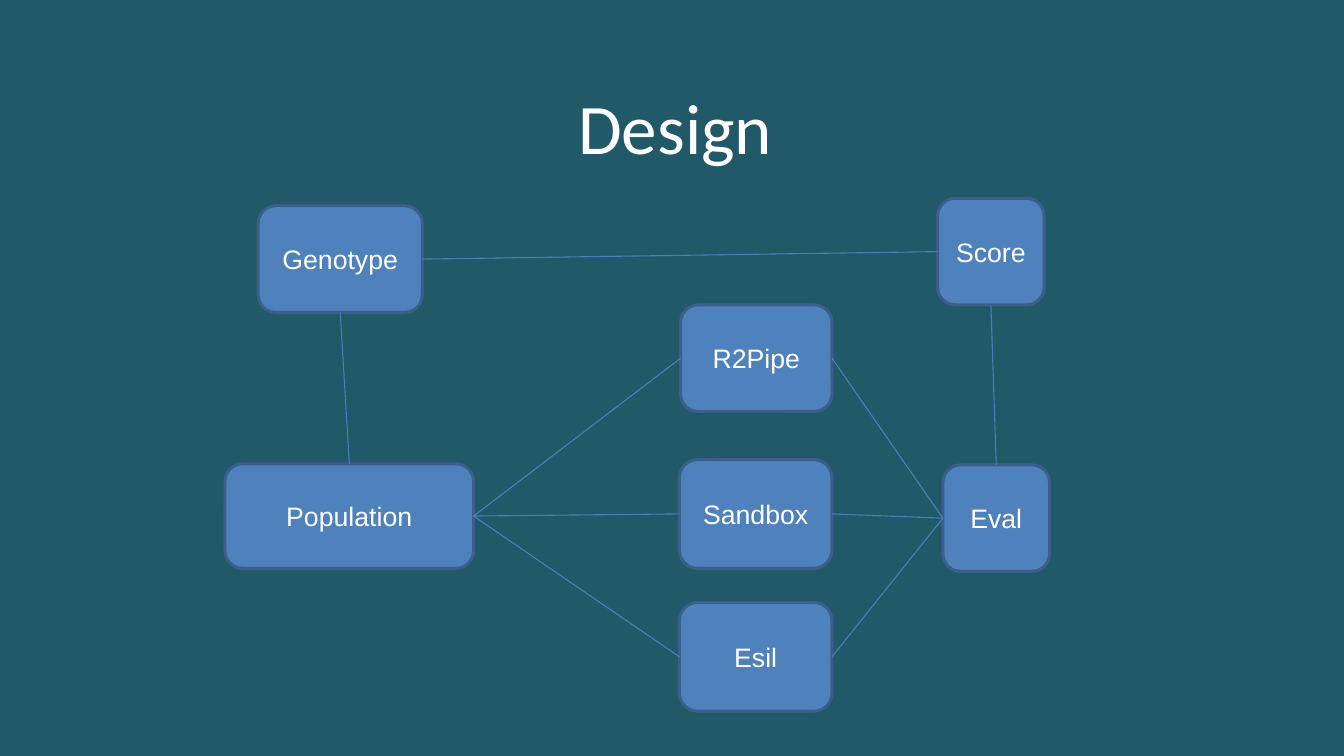
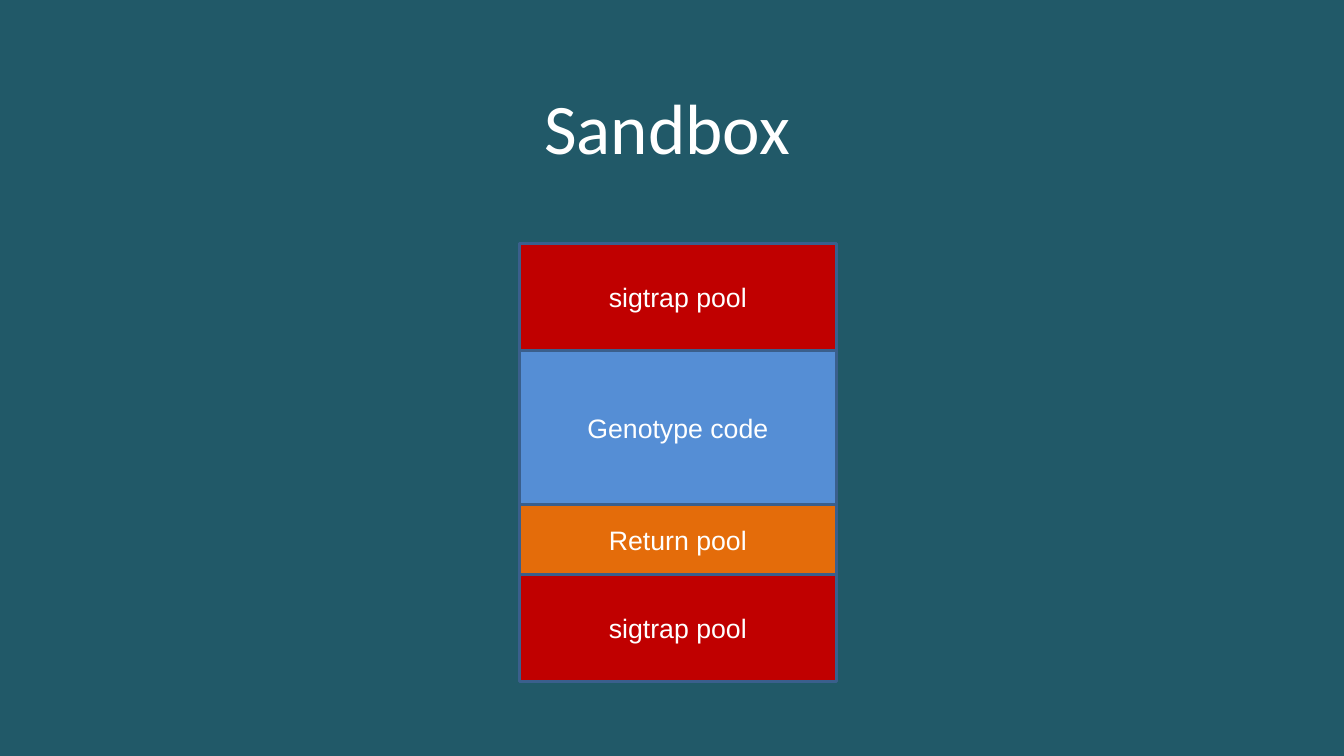
from lxml.etree import SubElement
from pptx import Presentation
from pptx.dml.color import RGBColor
from pptx.enum.shapes import MSO_CONNECTOR, MSO_SHAPE
from pptx.enum.text import MSO_ANCHOR, MSO_AUTO_SIZE, PP_ALIGN
from pptx.oxml.ns import qn
from pptx.util import Inches, Pt

COLOURS = {
    "background": "215968",
    "text": "FFFFFF",
    "node": "4F81BD",
    "outline": "3A5F8C",
    "link": "4B7EBC",
    "trap": "C00000",
    "code": "558ED5",
    "return": "E46C0A",
}
TITLE_ONLY = 5
TOP, LEFT, BOTTOM, RIGHT = range(4)  # connection sites of a rectangle

# Name: left, top, width, height within the diagram
NODES = {
    "Genotype": (0.31, 0.07, 1.54, 1),
    "Score": (6.68, 0, 1, 1),
    "Population": (0, 2.49, 2.33, 0.98),
    "R2Pipe": (4.27, 1, 1.42, 1),
    "Sandbox": (4.26, 2.45, 1.43, 1.02),
    "Esil": (4.26, 3.79, 1.43, 1.02),
    "Eval": (6.73, 2.5, 1, 1),
}
LINKS = [
    ("Genotype", BOTTOM, "Population", TOP),
    ("Genotype", RIGHT, "Score", LEFT),
    ("Score", BOTTOM, "Eval", TOP),
]
for runner in ("R2Pipe", "Sandbox", "Esil"):
    LINKS += [("Population", RIGHT, runner, LEFT), (runner, RIGHT, "Eval", LEFT)]

# Label, colour, height, from top to bottom
LAYERS = [
    ("sigtrap pool", "trap", 1.01),
    ("Genotype code", "code", 1.44),
    ("Return pool", "return", 0.66),
    ("sigtrap pool", "trap", 1),
]


def colour(name):
    return RGBColor.from_string(COLOURS[name])


def write(shape, text, font_name, size):
    frame = shape.text_frame
    frame.text = text
    frame.vertical_anchor = MSO_ANCHOR.MIDDLE
    para = frame.paragraphs[0]
    para.alignment = PP_ALIGN.CENTER
    para.font.name = font_name
    para.font.size = Pt(size)
    para.font.color.rgb = colour("text")
    return frame


def add_page(deck, heading):
    page = deck.slides.add_slide(deck.slide_layouts[TITLE_ONLY])
    title = page.shapes.title
    title.left, title.top = Inches(0.79), Inches(0.79)
    title.width, title.height = Inches(11.01), Inches(0.78)
    frame = write(title, heading, "Calibri", 48)
    frame.auto_size = MSO_AUTO_SIZE.NONE
    frame.margin_left = Inches(0.13)
    frame.margin_top = frame.margin_right = frame.margin_bottom = Inches(0.06)
    return page


def add_block(page, preset, box, label, fill):
    block = page.shapes.add_shape(preset, *map(Inches, box))
    block.shadow.inherit = False
    block.fill.solid()
    block.fill.fore_color.rgb = colour(fill)
    block.line.color.rgb = colour("outline")
    block.line.width = Pt(2)
    write(block, label, "Arial", 18)
    return block


def add_link(page, start, start_site, end, end_site):
    link = page.shapes.add_connector(MSO_CONNECTOR.STRAIGHT, 0, 0, 0, 0)
    link.begin_connect(start, start_site)
    link.end_connect(end, end_site)
    link.line.color.rgb = colour("link")
    link.line.width = Pt(0.75)
    SubElement(link._element.spPr, qn("a:effectLst"))


def add_diagram(page, left, top):
    blocks = {}
    for name, (x, y, width, height) in NODES.items():
        box = (left + x, top + y, width, height)
        blocks[name] = add_block(page, MSO_SHAPE.ROUNDED_RECTANGLE, box, name, "node")
    for start, start_site, end, end_site in LINKS:
        add_link(page, blocks[start], start_site, blocks[end], end_site)


def add_memory_stack(page, left, top, width):
    for label, fill, height in LAYERS:
        add_block(page, MSO_SHAPE.RECTANGLE, (left, top, width, height), label, fill)
        top += height


def main():
    deck = Presentation()
    deck.slide_width, deck.slide_height = Inches(12.6), Inches(7.09)

    # Shared background
    backdrop = deck.slide_master.background.fill
    backdrop.solid()
    backdrop.fore_color.rgb = colour("background")

    add_diagram(add_page(deck, "Design"), 2.11, 1.86)
    add_memory_stack(add_page(deck, "Sandbox "), 4.87, 2.28, 2.97)
    deck.save("out.pptx")


if __name__ == "__main__":
    main()
